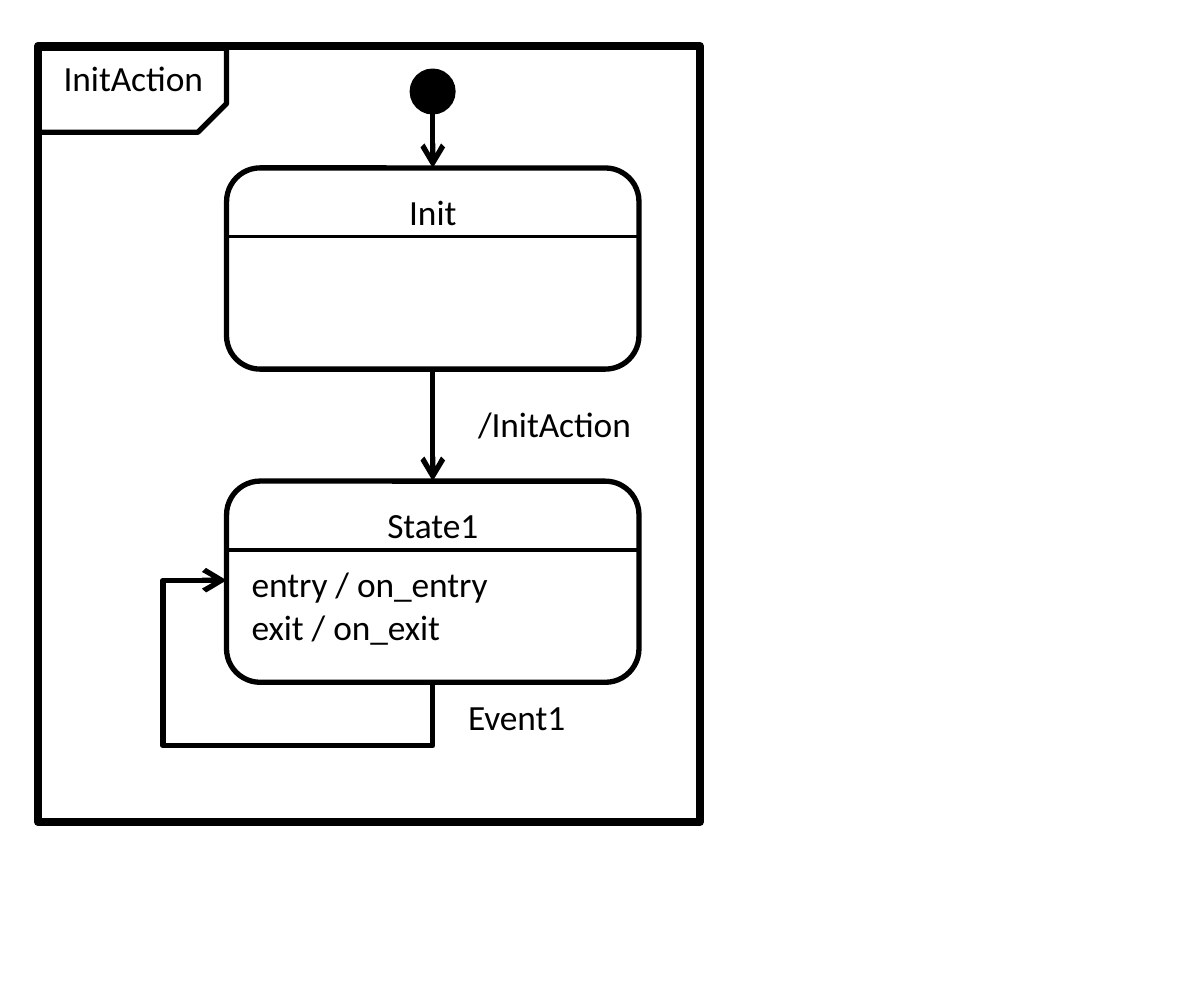
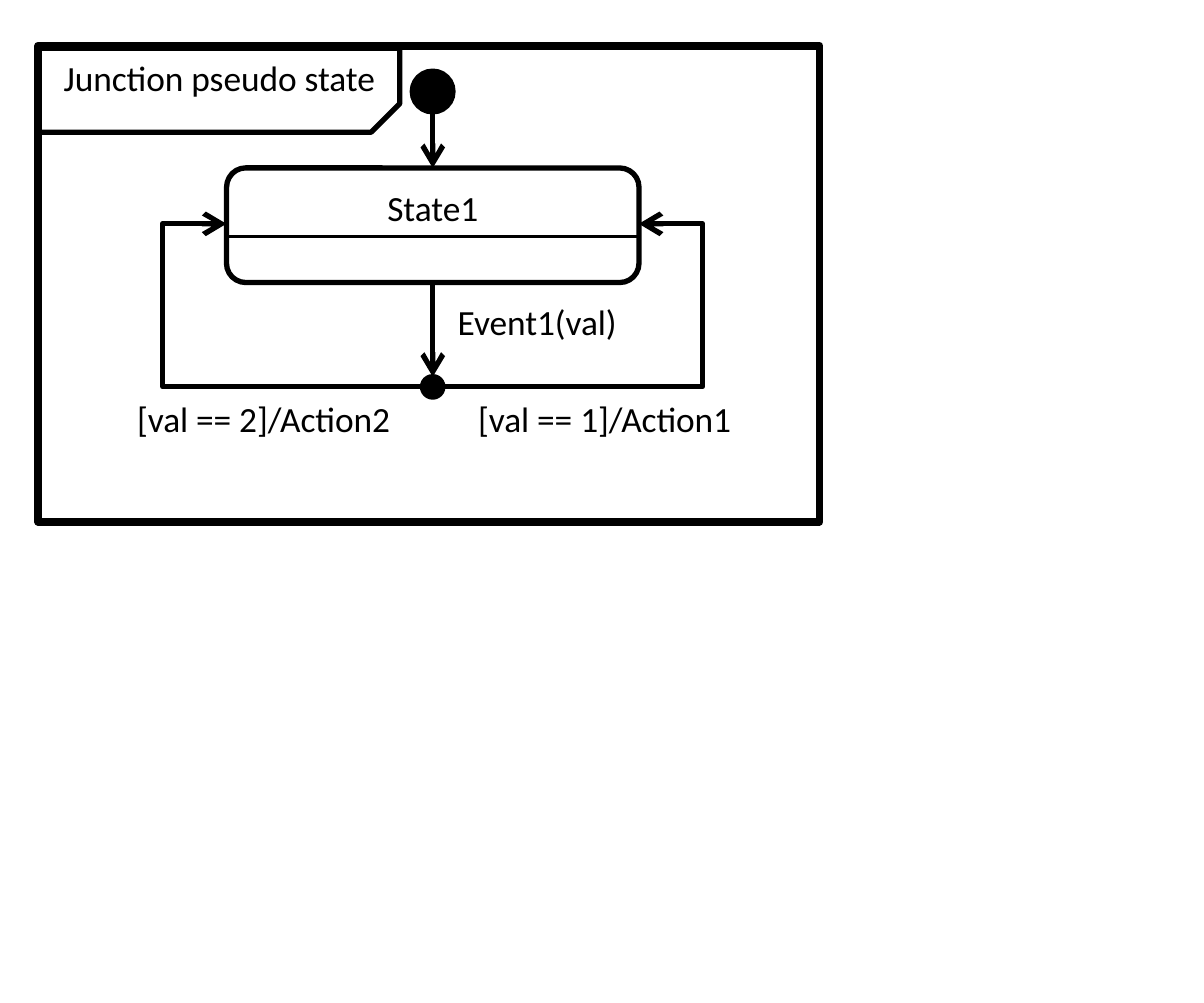
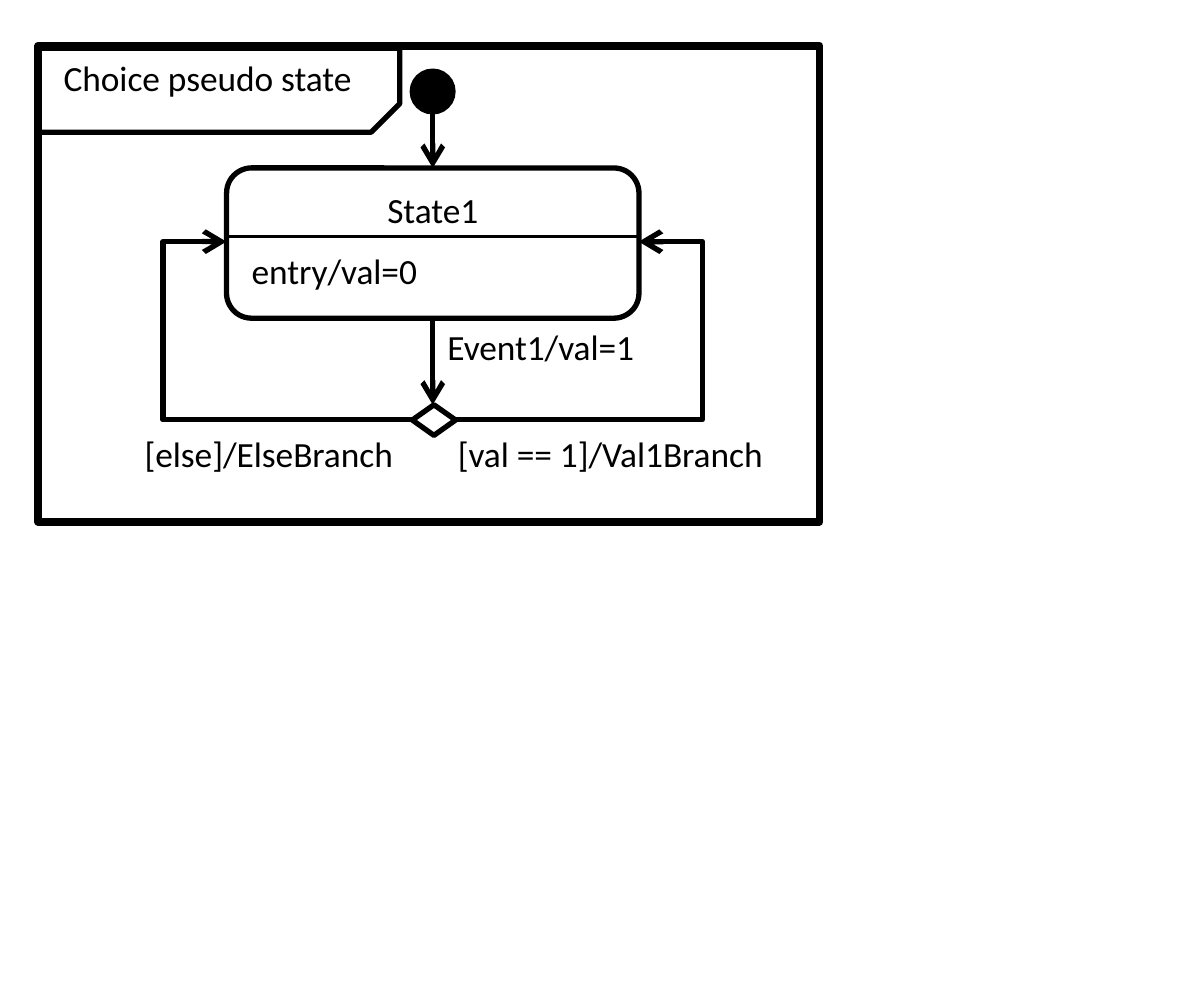
from dataclasses import dataclass
from typing import Optional

from lxml.etree import SubElement
from pptx import Presentation
from pptx.dml.color import RGBColor
from pptx.enum.shapes import MSO_CONNECTOR, MSO_SHAPE
from pptx.enum.text import MSO_ANCHOR, MSO_AUTO_SIZE, PP_ALIGN
from pptx.oxml.ns import qn
from pptx.util import Emu, Pt

BLACK = RGBColor(0x00, 0x00, 0x00)
WHITE = RGBColor(0xFF, 0xFF, 0xFF)
FONT = "Calibri"
FONT_SIZE = 10
LINE = 1.5
FRAME_LINE = 2.25
DIVIDER_LINE = 1

FRAME_LEFT, FRAME_TOP = 15, 18
STATE_LEFT, STATE_WIDTH = 89, 162
STATE_RIGHT = STATE_LEFT + STATE_WIDTH
CENTER = STATE_LEFT + STATE_WIDTH // 2
HEADER_HEIGHT = 27
START_TOP, START_SIZE = 28, 16
FIRST_STATE_TOP = 66
LOOP_GAP = 25
LABEL_HEIGHT = 27


def px(n: int) -> Emu:
    return Emu(n * 9144)


@dataclass(frozen=True)
class State:
    name: str
    top: int
    height: int
    actions: str = ""

    @property
    def bottom(self) -> int:
        return self.top + self.height

    @property
    def middle(self) -> int:
        return self.top + self.height // 2


@dataclass(frozen=True)
class Label:
    text: str
    left: int
    top: int
    width: int


@dataclass(frozen=True)
class Node:
    preset: MSO_SHAPE
    top: int
    width: int
    height: int
    fill: RGBColor

    @property
    def middle(self) -> int:
        return self.top + self.height // 2


@dataclass(frozen=True)
class Diagram:
    title: str
    width: int
    height: int
    tab_width: int
    title_width: int
    states: tuple[State, ...]
    labels: tuple[Label, ...]
    branch: Optional[Node] = None


START = Node(MSO_SHAPE.FLOWCHART_CONNECTOR, START_TOP, START_SIZE, START_SIZE, BLACK)

DIAGRAMS = (
    Diagram(
        "InitAction", 260, 305, 74, 80,
        (State("Init", FIRST_STATE_TOP, 79),
         State("State1", 189, 79, "entry / on_entry\nexit / on_exit")),
        (Label("/InitAction", 178, 153, 90), Label("Event1", 174, 268, 79)),
    ),
    Diagram(
        "Junction pseudo state", 307, 187, 142, 181,
        (State("State1", FIRST_STATE_TOP, 45),),
        (Label("Event1(val)", 170, 113, 90),
         Label("[val == 1]/Action1", 178, 151, 125),
         Label("[val == 2]/Action2", 44, 151, 125)),
        Node(MSO_SHAPE.FLOWCHART_CONNECTOR, 148, 8, 8, BLACK),
    ),
    Diagram(
        "Choice pseudo state", 307, 187, 142, 181,
        (State("State1", FIRST_STATE_TOP, 59, "entry/val=0"),),
        (Label("Event1/val=1", 166, 123, 126),
         Label("[val == 1]/Val1Branch", 170, 165, 145),
         Label("[else]/ElseBranch", 47, 165, 123)),
        Node(MSO_SHAPE.FLOWCHART_DECISION, 159, 17, 12, WHITE),
    ),
)


def write(s, text: str, align: PP_ALIGN = PP_ALIGN.LEFT) -> None:
    tf = s.text_frame
    tf.text = text
    tf.word_wrap = True
    tf.auto_size = MSO_AUTO_SIZE.NONE
    tf.vertical_anchor = MSO_ANCHOR.TOP
    tf.margin_left = tf.margin_right = px(10)
    tf.margin_top = tf.margin_bottom = px(5)
    for p in tf.paragraphs:
        p.alignment = align
        p.font.name = FONT
        p.font.size = Pt(FONT_SIZE)
        p.font.color.rgb = BLACK


def add_label(sp, label: Label) -> None:
    height = LABEL_HEIGHT + 17 * label.text.count("\n")
    write(sp.add_textbox(px(label.left), px(label.top), px(label.width), px(height)),
          label.text)


def add_outline(sp, preset: MSO_SHAPE, left: int, top: int, width: int, height: int,
                line: float = LINE, fill: Optional[RGBColor] = None):
    s = sp.add_shape(preset, px(left), px(top), px(width), px(height))
    s.shadow.inherit = False
    if fill is None:
        s.fill.background()
    else:
        s.fill.solid()
        s.fill.fore_color.rgb = fill
    s.line.color.rgb = BLACK
    s.line.width = Pt(line)
    return s


def add_line(sp, start: tuple[int, int], end: tuple[int, int], line: float = LINE,
             arrow: str = "", preset: str = "line", bends: tuple[float, ...] = ()) -> None:
    kind = MSO_CONNECTOR.ELBOW if bends else MSO_CONNECTOR.STRAIGHT
    s = sp.add_connector(kind, px(start[0]), px(start[1]), px(end[0]), px(end[1]))
    s.line.color.rgb = BLACK
    s.line.width = Pt(line)
    pr = s._element.spPr
    geometry = pr.find(qn("a:prstGeom"))
    geometry.set("prst", preset)
    for i, bend in enumerate(bends, 1):
        SubElement(geometry.find(qn("a:avLst")), qn("a:gd"),
                   name=f"adj{i}", fmla=f"val {round(bend * 100000)}")
    if arrow:
        SubElement(pr.find(qn("a:ln")), qn(f"a:{arrow}"), type="arrow")
    SubElement(pr, qn("a:effectLst"))


def add_arrow_down(sp, top: int, bottom: int) -> None:
    add_line(sp, (CENTER, top), (CENTER, bottom), arrow="tailEnd")


def add_node(sp, node: Node) -> None:
    add_outline(sp, node.preset, CENTER - node.width // 2, node.top,
                node.width, node.height, fill=node.fill)


def add_state(sp, state: State) -> None:
    s = add_outline(sp, MSO_SHAPE.ROUNDED_RECTANGLE, STATE_LEFT, state.top,
                    STATE_WIDTH, state.height)
    write(s, state.name, PP_ALIGN.CENTER)
    divider = state.top + HEADER_HEIGHT
    add_line(sp, (STATE_LEFT, divider), (STATE_RIGHT, divider), DIVIDER_LINE)
    if state.actions:
        add_label(sp, Label(state.actions, STATE_LEFT, divider, STATE_WIDTH))


def add_self_loop(sp, state: State) -> None:
    bends = (-LOOP_GAP / (CENTER - STATE_LEFT),
             1 + LOOP_GAP / (state.bottom - state.middle))
    add_line(sp, (STATE_LEFT, state.middle), (CENTER, state.bottom),
             arrow="headEnd", preset="bentConnector4", bends=bends)


def add_branches(sp, state: State, node: Node) -> None:
    add_arrow_down(sp, state.bottom, node.top)
    for side, edge in ((-1, STATE_LEFT), (1, STATE_RIGHT)):
        start = CENTER + side * (node.width // 2)
        add_line(sp, (start, node.middle), (edge, state.middle), arrow="tailEnd",
                 preset="bentConnector3", bends=(1 + LOOP_GAP / abs(edge - start),))
    add_node(sp, node)


def add_frame(slide, diagram: Diagram) -> None:
    sp = slide.shapes
    add_outline(sp, MSO_SHAPE.RECTANGLE, FRAME_LEFT, FRAME_TOP,
                diagram.width, diagram.height, FRAME_LINE)
    tab = add_outline(sp, MSO_SHAPE.SNIP_1_RECTANGLE, FRAME_LEFT, FRAME_TOP + 1,
                      diagram.tab_width, 33)
    tab.adjustments[0] = 0.34
    tab._element.spPr.find(qn("a:xfrm")).set("flipV", "1")
    title = sp.title
    title.left, title.top = px(FRAME_LEFT), px(FRAME_TOP - 1)
    title.width, title.height = px(diagram.title_width), px(LABEL_HEIGHT)
    write(title, diagram.title)


def add_diagram(prs, diagram: Diagram) -> None:
    slide = prs.slides.add_slide(prs.slide_layouts[5])
    sp = slide.shapes
    add_frame(slide, diagram)
    add_node(sp, START)
    bottom = START_TOP + START_SIZE
    for state in diagram.states:
        add_arrow_down(sp, bottom, state.top)
        add_state(sp, state)
        bottom = state.bottom
    last = diagram.states[-1]
    if diagram.branch:
        add_branches(sp, last, diagram.branch)
    else:
        add_self_loop(sp, last)
    for label in diagram.labels:
        add_label(sp, label)


def main() -> None:
    prs = Presentation()
    prs.slide_width, prs.slide_height = px(473), px(394)
    for diagram in DIAGRAMS:
        add_diagram(prs, diagram)
    prs.save("out.pptx")


if __name__ == "__main__":
    main()
